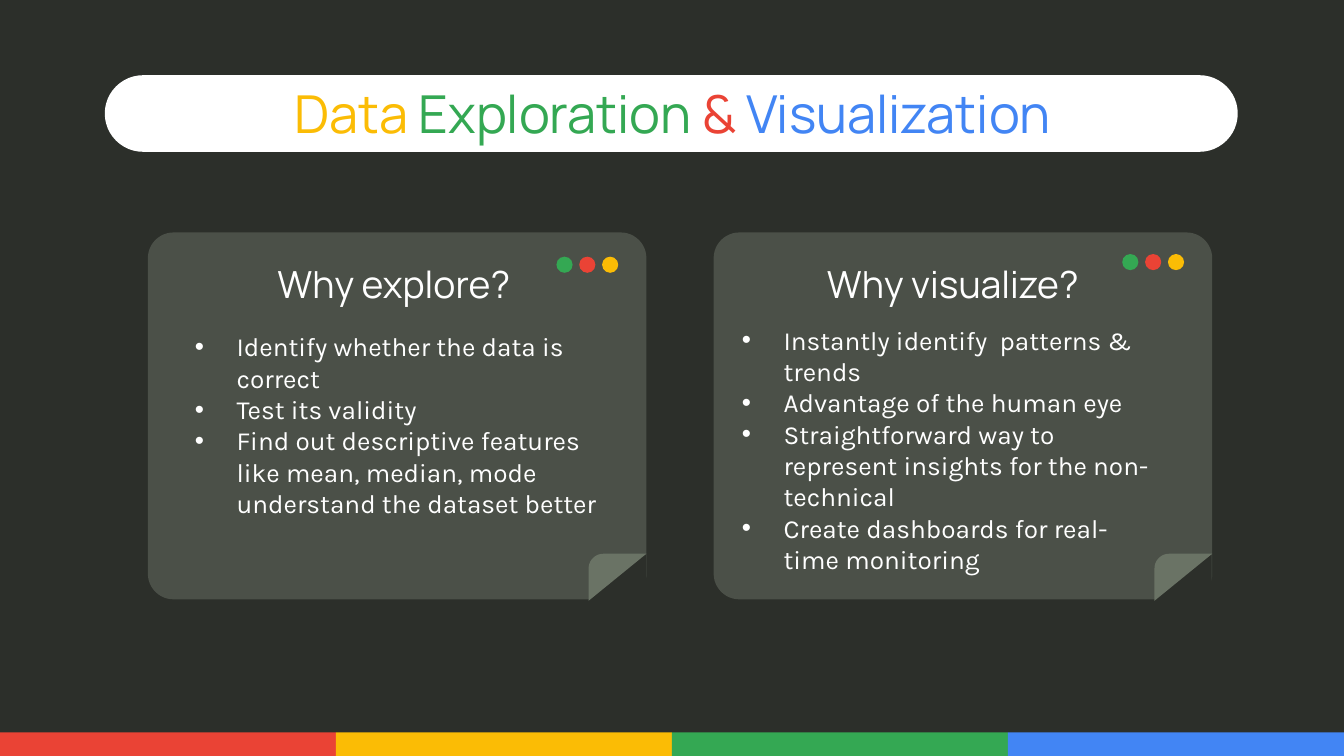
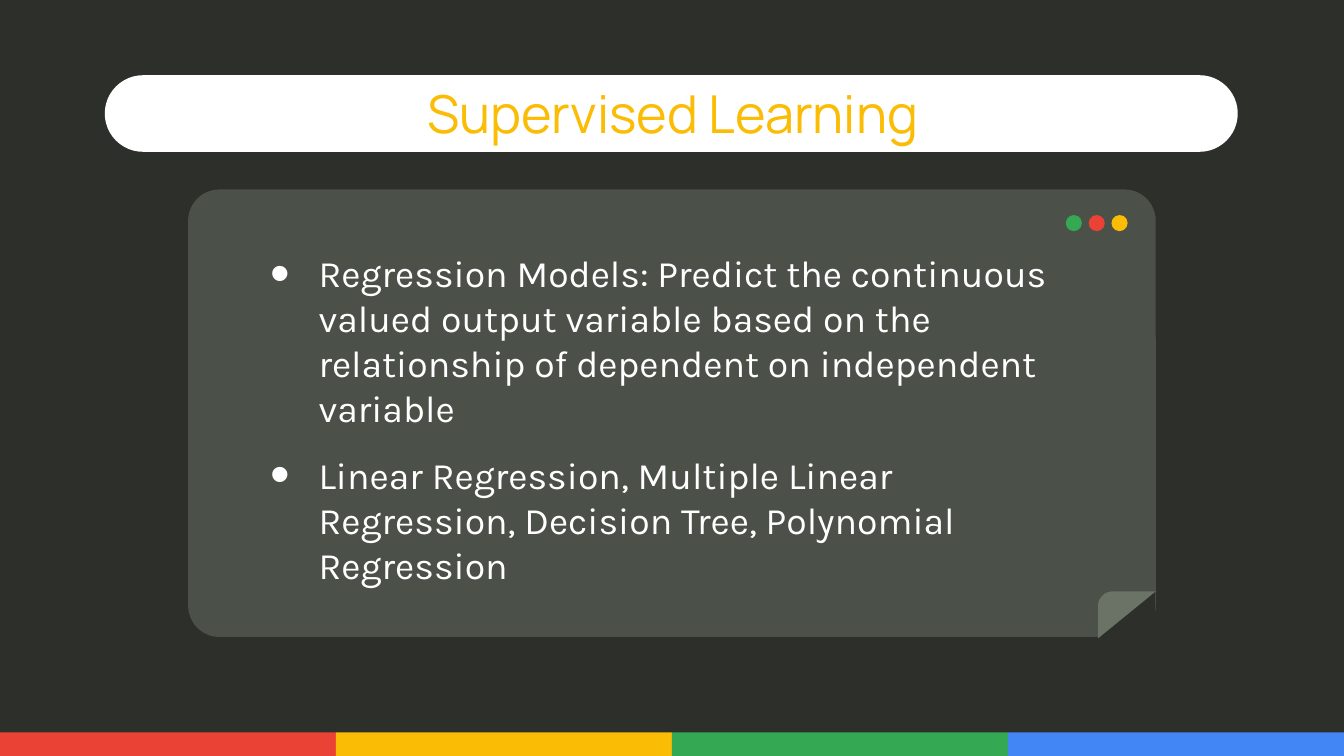
import math
from lxml import etree
from pptx import Presentation
from pptx import util as u
from pptx.dml import color
from pptx.enum import shapes, text
from pptx.oxml import ns

DARK, CARD, FOLD, WHITE = "2C2F2A", "4B5048", "6A7365", "FFFFFF"
RED, YELLOW, GREEN, BLUE = "EA4335", "FBBC05", "34A853", "4285F4"
KIND = shapes.MSO_SHAPE
ALIGN, ANCHOR = text.PP_ALIGN, text.MSO_ANCHOR


def paint(target, hex_color):
    target.solid()
    target.fore_color.rgb = color.RGBColor.from_string(hex_color)


def draw(page, kind, box, fill):
    shape = page.shapes.add_shape(kind, *map(u.Inches, box))
    shape.shadow.inherit = False
    paint(shape.fill, fill)
    shape.line.fill.background()
    return shape


heading = {
    "font": "Manrope", "size": 20, "inset": 0.1, "anchor": ANCHOR.MIDDLE,
    "indent": (0, 0), "bullet": None,
    "paragraph": {"alignment": ALIGN.CENTER, "space_before": u.Pt(0), "space_after": u.Pt(0)},
}
title = {**heading, "size": 28}
short_list = {
    "font": "Karla", "size": 14, "inset": 0.05, "anchor": ANCHOR.TOP,
    "indent": (0.31, -0.31), "bullet": 100,
    "paragraph": {"alignment": ALIGN.LEFT, "space_before": u.Pt(0), "space_after": u.Pt(0)},
}
long_list = {
    **short_list, "size": 20, "inset": 0.1, "anchor": ANCHOR.MIDDLE,
    "indent": (0.5, -0.36), "bullet": 150,
    "paragraph": {**short_list["paragraph"], "space_after": u.Pt(12)},
}
title_box = (0.79, 0.59, 8.43, 0.5)

pages = [
    {
        "layout": 4,
        "cards": [((1.1, 1.73, 3.71, 2.73), 0.18), ((5.31, 1.73, 3.71, 2.73), 0.16)],
        "texts": [
            (title_box, title, [[("Data ", YELLOW), ("Exploration ", GREEN),
                                 ("& ", RED), ("Visualization", BLUE)]]),
            ((1.43, 1.91, 3, 0.4), heading, [[("Why explore?", WHITE)]]),
            ((1.35, 2.41, 3.21, 1.99), short_list, [
                [("Identify whether the data is correct", WHITE)],
                [("Test its validity", WHITE)],
                [("Find out descriptive features like mean, median, mode "
                  "understand the dataset better", WHITE)],
            ]),
            ((5.59, 1.91, 3, 0.4), heading, [[("Why visualize?", WHITE)]]),
            ((5.42, 2.36, 3.31, 1.99), short_list, [
                [("Instantly identify  patterns & trends", WHITE)],
                [("Advantage of the human eye", WHITE)],
                [("Straightforward way to represent insights for the non-technical", WHITE)],
                [("Create dashboards for real-time monitoring", WHITE)],
            ]),
        ],
    },
    {
        "layout": 1,
        "cards": [((1.4, 1.41, 7.2, 3.33), 0.19)],
        "texts": [
            (title_box, title, [[("Supervised Learning", YELLOW)]]),
            ((1.77, 1.87, 6.38, 2.49), long_list, [
                [("Regression Models: Predict the continuous valued output variable based on "
                  "the relationship of dependent on independent variable", WHITE)],
                [("Linear Regression, Multiple Linear Regression, Decision Tree, "
                  "Polynomial Regression", WHITE)],
            ]),
        ],
    },
]

deck = Presentation()
deck.slide_width = u.Inches(10)
deck.slide_height = deck.slide_width * 9 // 16
paint(deck.slide_master.background.fill, DARK)

for content in pages:
    page = deck.slides.add_slide(deck.slide_layouts[content["layout"]])
    placeholders = list(page.placeholders)

    pill = draw(page, KIND.ROUNDED_RECTANGLE, (0.78, 0.56, 8.43, 0.57), WHITE)
    pill.adjustments[0] = 0.5
    for column, band in enumerate([RED, YELLOW, GREEN, BLUE]):
        draw(page, KIND.RECTANGLE, (2.5 * column, 5.45, 2.5, 0.18), band)

    for (left, top, width, height), dot_drop in content["cards"]:
        right, bottom = left + width, top + height
        card = draw(page, KIND.ROUNDED_RECTANGLE, (left, top, width, height), CARD)
        card.adjustments[0] = 0.07

        corner = draw(page, KIND.RIGHT_TRIANGLE, (right - 0.43, bottom - 0.33, 0.42, 0.34), DARK)
        corner.element.spPr.xfrm.set("flipH", "1")
        paint(corner.line.fill, DARK)
        corner.line.width = u.Pt(0.75)

        fold_left, fold_top, radius = right - 0.43, bottom - 0.34, 0.11
        curve = [
            (fold_left + radius * (1 - math.cos(math.radians(angle))),
             fold_top + radius * (1 - math.sin(math.radians(angle))))
            for angle in range(0, 91, 10)
        ]
        points = [(u.Inches(x), u.Inches(y)) for x, y in curve + [(right, fold_top)]]
        outline = page.shapes.build_freeform(u.Inches(fold_left), u.Inches(bottom + 0.01))
        outline.add_line_segments(points, close=True)
        fold = outline.convert_to_shape()
        fold.shadow.inherit = False
        paint(fold.fill, FOLD)
        fold.line.fill.background()

        for number, dot in enumerate([GREEN, RED, YELLOW]):
            draw(page, KIND.OVAL, (right - 0.67 + 0.17 * number, top + dot_drop, 0.12, 0.12), dot)

    for holder, (box, style, lines) in zip(placeholders, content["texts"]):
        page.shapes.element.append(holder.element)
        for name, value in zip(("left", "top", "width", "height"), box):
            setattr(holder, name, u.Inches(value))
        frame = holder.text_frame
        frame_format = {
            "word_wrap": True, "auto_size": text.MSO_AUTO_SIZE.NONE,
            "vertical_anchor": style["anchor"],
            "margin_left": u.Inches(0.1), "margin_right": u.Inches(0.1),
            "margin_top": u.Inches(style["inset"]), "margin_bottom": u.Inches(style["inset"]),
        }
        for name, value in frame_format.items():
            setattr(frame, name, value)

        for index, line in enumerate(lines):
            para = frame.add_paragraph() if index else frame.paragraphs[0]
            properties = para._p.get_or_add_pPr()
            for name, value in zip(("marL", "indent"), style["indent"]):
                properties.set(name, str(u.Inches(value)))
            if style["bullet"]:
                bullet_color = etree.SubElement(properties, ns.qn("a:buClr"))
                etree.SubElement(bullet_color, ns.qn("a:srgbClr"), val=WHITE)
                etree.SubElement(properties, ns.qn("a:buSzPct"), val=str(style["bullet"] * 1000))
                etree.SubElement(properties, ns.qn("a:buFont"), typeface="Arial")
                etree.SubElement(properties, ns.qn("a:buChar"), char="•")
            else:
                etree.SubElement(properties, ns.qn("a:buNone"))
            for name, value in style["paragraph"].items():
                setattr(para, name, value)
            for words, ink in line:
                span = para.add_run()
                span.text = words
                font_format = {"name": style["font"], "size": u.Pt(style["size"]), "bold": False}
                for name, value in font_format.items():
                    setattr(span.font, name, value)
                paint(span.font.fill, ink)

deck.save("out.pptx")
